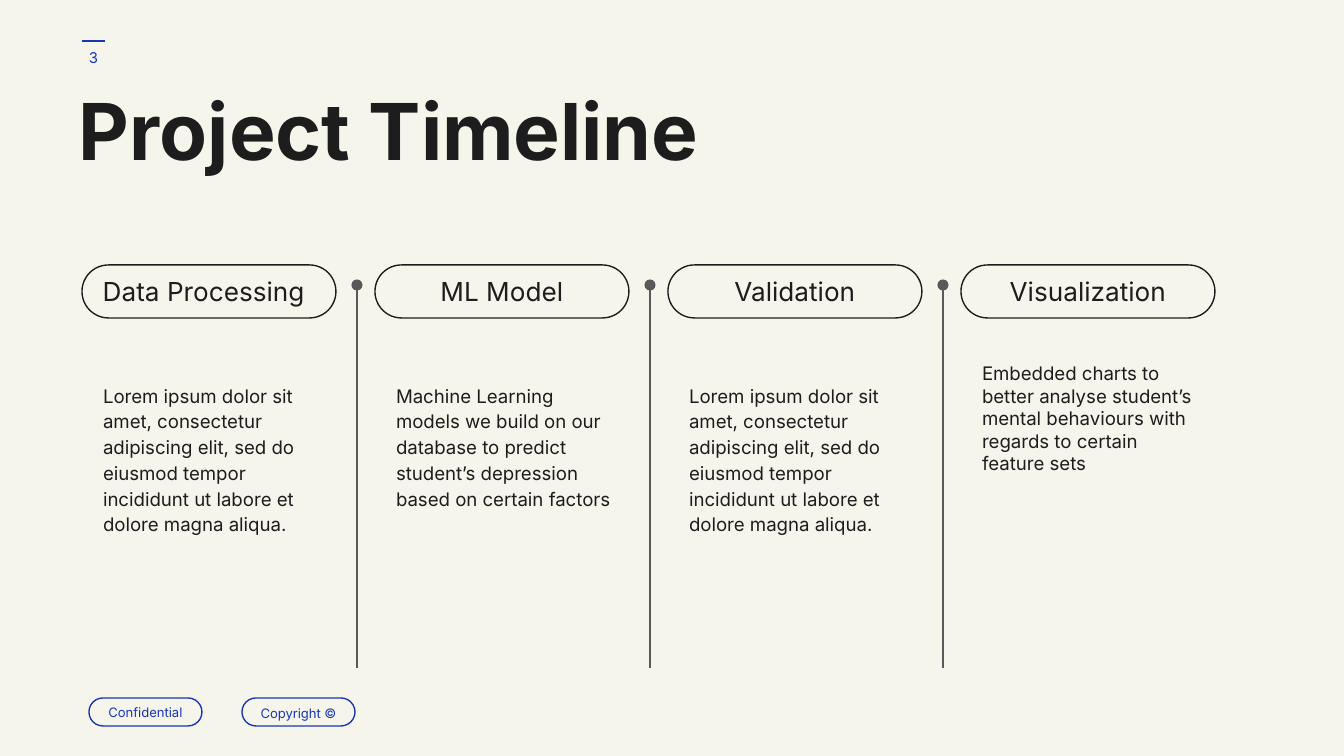
from lxml import etree
from pptx import Presentation
from pptx.dml.color import RGBColor
from pptx.enum.shapes import MSO_CONNECTOR, MSO_SHAPE
from pptx.enum.text import MSO_ANCHOR, MSO_AUTO_SIZE, PP_ALIGN
from pptx.oxml.ns import qn
from pptx.util import Emu, Pt

LINE, ROUND = MSO_CONNECTOR.STRAIGHT, MSO_SHAPE.ROUNDED_RECTANGLE
TOP, MIDDLE = MSO_ANCHOR.TOP, MSO_ANCHOR.MIDDLE
LEFT, CENTER = PP_ALIGN.LEFT, PP_ALIGN.CENTER
NO_FIT = MSO_AUTO_SIZE.NONE

CREAM = RGBColor(0xF6, 0xF5, 0xEC)
INK = RGBColor(0x1D, 0x1D, 0x1D)
BLUE = RGBColor(0x1A, 0x36, 0xB4)
GRAY = RGBColor(0x59, 0x59, 0x59)

FONT = "Inter"
WIDTH, HEIGHT = 1344, 756
PITCH = 293
INSET = 13
LOREM = ("Lorem ipsum dolor sit amet, consectetur adipiscing elit, sed do "
         "eiusmod tempor incididunt ut labore et dolore magna aliqua.")
# heading, heading alignment, text, text offset from column top, line spacing
STEPS = [
    ("Data Processing", LEFT, LOREM, 103, 1.15),
    ("ML Model", CENTER, "Machine Learning models we build on our database to "
     "predict student’s depression based on certain factors", 103, 1.15),
    ("Validation", CENTER, LOREM, 103, 1.15),
    ("Visualization", CENTER, "Embedded charts to better analyse student’s "
     "mental behaviours with regards to certain feature sets", 84, 1.0),
]


def px(count):
    return Emu(round(count * 9144000 / WIDTH))


def write(shape, text, size, color=INK, bold=False, align=LEFT,
          anchor=TOP, spacing=1.0):
    frame = shape.text_frame
    frame.word_wrap = True
    frame.auto_size = NO_FIT
    frame.vertical_anchor = anchor
    frame.margin_left = frame.margin_right = px(INSET)
    frame.margin_top = frame.margin_bottom = px(INSET)
    para = frame.paragraphs[0]
    para.alignment = align
    para.line_spacing = spacing
    run = para.add_run()
    run.text = text
    font = run.font
    font.name, font.size, font.bold = FONT, Pt(size), bold
    font.color.rgb = color


def label(slide, box, text, size, **style):
    shape = slide.shapes.add_textbox(*map(px, box))
    write(shape, text, size, **style)


def pill(slide, box, text, size, color, **style):
    shape = slide.shapes.add_shape(ROUND, *map(px, box))
    shape.adjustments[0] = 0.5
    shape.shadow.inherit = False
    shape.fill.background()
    shape.line.color.rgb = color
    shape.line.width = Pt(0.75)
    write(shape, text, size, color=color, anchor=MIDDLE, **style)


def rule(slide, ends, color, dot=False):
    line = slide.shapes.add_connector(LINE, *map(px, ends))
    line.line.color.rgb = color
    line.line.width = Pt(0.75)
    props = line._element.spPr
    if dot:
        head = etree.SubElement(props.find(qn("a:ln")), qn("a:headEnd"))
        head.set("type", "oval")
    etree.SubElement(props, qn("a:effectLst"))


def header(slide, left, top):
    # Page number under a short bar
    rule(slide, (left, top, left + 23, top), BLUE)
    label(slide, (left - 20, top - 12, 63, 58), "3", 8, color=BLUE,
          align=CENTER, anchor=MIDDLE)
    # Title
    title = slide.shapes.title
    title.left, title.top = px(left - 16), px(top + 46)
    title.width, title.height = px(1009), px(153)
    write(title, "Project Timeline", 42, bold=True, spacing=0.8)


def column(slide, left, top, step, last):
    name, align, text, drop, spacing = step
    pill(slide, (left, top, 254, 53), name, 14, INK, align=align)
    label(slide, (left + 8, top + drop, 241, 253), text, 10, spacing=spacing)
    # Divider to the next column
    if not last:
        mid = left + 275
        rule(slide, (mid, top + 20, mid, top + 403), GRAY, dot=True)


def footer(slide, left, top):
    tags = [("Confidential", 1.0), ("Copyright ©", 1.15)]
    for i, (text, spacing) in enumerate(tags):
        pill(slide, (left + i * 153, top, 113, 28), text, 7, BLUE,
             align=CENTER, spacing=spacing)


def main():
    deck = Presentation()
    deck.slide_width, deck.slide_height = px(WIDTH), px(HEIGHT)
    slide = deck.slides.add_slide(deck.slide_layouts[5])
    fill = slide.background.fill
    fill.solid()
    fill.fore_color.rgb = CREAM
    header(slide, 82, 41)
    for i, step in enumerate(STEPS):
        column(slide, 82 + i * PITCH, 265, step, i == len(STEPS) - 1)
    footer(slide, 89, 698)
    deck.save("out.pptx")


if __name__ == "__main__":
    main()
